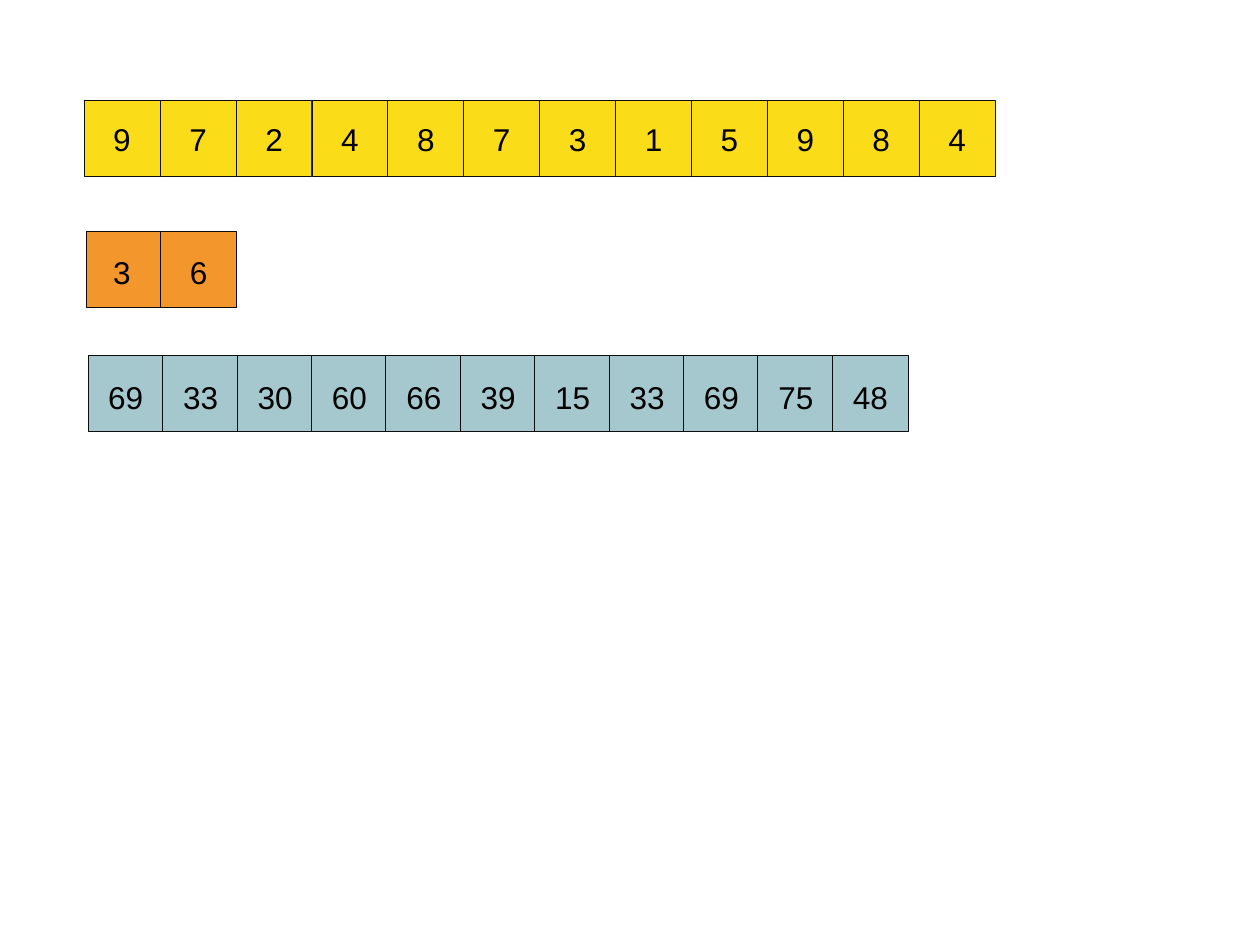
"""Draw a signal, its kernel and the filtered result as rows of numbered cells."""
import dataclasses

import lxml.etree
import pptx
import pptx.dml.color
import pptx.enum.shapes
import pptx.enum.text
import pptx.oxml.ns
import pptx.slide
import pptx.util

Cm = pptx.util.Cm
RGB = pptx.dml.color.RGBColor


@dataclasses.dataclass(frozen=True)
class Theme:
    signal: RGB = RGB.from_string("FADC19")
    kernel: RGB = RGB.from_string("F3962C")
    result: RGB = RGB.from_string("A5C7CE")
    line: RGB = RGB.from_string("0D0D0D")
    text: RGB = RGB.from_string("000000")
    font: str = "Arial"
    size: pptx.util.Pt = pptx.util.Pt(18)
    line_width: pptx.util.Pt = pptx.util.Pt(0.5)


@dataclasses.dataclass(frozen=True)
class Row:
    values: tuple[int, ...]
    fill: RGB
    left: float
    top: float
    pitch: float
    text_left: float
    text_top: float


THEME = Theme()
CELL = 1.53
INSET = 0.25
TEXT_WIDTH, TEXT_HEIGHT = 18.54, 0.97
ROWS = (
    Row((9, 7, 2, 4, 8, 7, 3, 1, 5, 9, 8, 4), THEME.signal, 1.7, 2.03, 1.53, 2.03, 2.29),
    Row((3, 6), THEME.kernel, 1.74, 4.67, 1.5, 2.03, 4.98),
    Row((69, 33, 30, 60, 66, 39, 15, 33, 69, 75, 48), THEME.result, 1.78, 7.16, 1.5, 1.93, 7.49),
)


def apply(target: object, formats: dict[str, object]) -> None:
    """Set each format value on the target."""
    for name, value in formats.items():
        setattr(target, name, value)


def add_cells(s: pptx.slide.Slide, row: Row) -> None:
    """Draw one square for each value of the row."""
    for i in range(len(row.values)):
        sp = s.shapes.add_shape(
            pptx.enum.shapes.MSO_SHAPE.RECTANGLE,
            Cm(row.left + i * row.pitch), Cm(row.top), Cm(CELL), Cm(CELL),
        )
        sp.shadow.inherit = False
        sp.fill.solid()
        sp.fill.fore_color.rgb = row.fill
        sp.line.color.rgb = THEME.line
        sp.line.width = THEME.line_width


def add_values(s: pptx.slide.Slide, row: Row) -> None:
    """Write the values with a centred tab stop in every cell after the first."""
    sp = s.shapes.add_textbox(Cm(row.text_left), Cm(row.text_top), Cm(TEXT_WIDTH), Cm(TEXT_HEIGHT))
    tf = sp.text_frame
    apply(tf, {"word_wrap": True, "auto_size": pptx.enum.text.MSO_AUTO_SIZE.SHAPE_TO_FIT_TEXT})
    p = tf.paragraphs[0]
    qn = pptx.oxml.ns.qn
    tabs = lxml.etree.SubElement(p._p.get_or_add_pPr(), qn("a:tabLst"))
    first = row.left + CELL / 2 - row.text_left - INSET
    for i in range(1, len(row.values)):
        position = str(Cm(first + i * row.pitch))
        lxml.etree.SubElement(tabs, qn("a:tab"), pos=position, algn="ctr")
    r = p.add_run()
    r.text = "\t".join(map(str, row.values))
    apply(r.font, {"name": THEME.font, "size": THEME.size})
    r.font.color.rgb = THEME.text


def main() -> None:
    """Build and save the slide."""
    prs = pptx.Presentation()
    apply(prs, {"slide_width": Cm(25.4), "slide_height": Cm(19.05)})
    s = prs.slides.add_slide(prs.slide_layouts[6])
    for row in ROWS:
        add_cells(s, row)
        add_values(s, row)
    prs.save("out.pptx")


if __name__ == "__main__":
    main()
